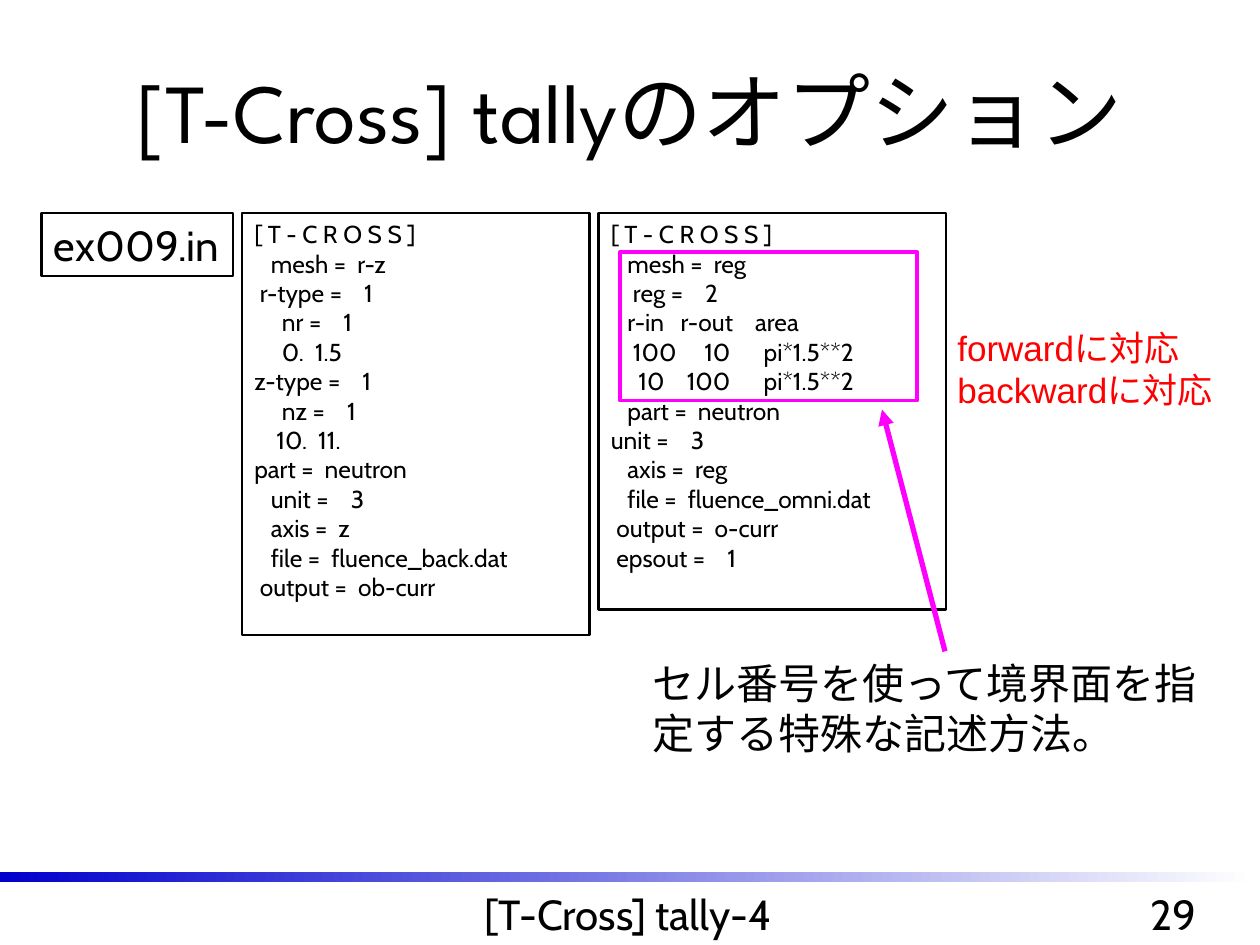
"""Build the slide on the options of the [T-Cross] tally."""
from pptx import Presentation
from pptx.dml.color import RGBColor
from pptx.enum.shapes import MSO_CONNECTOR, MSO_SHAPE
from pptx.enum.text import MSO_ANCHOR, PP_ALIGN
from pptx.oxml.ns import qn
from pptx.util import Inches, Pt
from lxml.etree import SubElement

BLACK = RGBColor(0x00, 0x00, 0x00)
WHITE = RGBColor(0xFF, 0xFF, 0xFF)
RED = RGBColor(0xFF, 0x00, 0x00)
MAGENTA = RGBColor(0xFF, 0x00, 0xFF)
BLUE = RGBColor(0x00, 0x00, 0xCC)

LISTING_TOP = 1.69
LISTING_WIDTH = 2.76

BACKWARD_LISTING = """[ T - C R O S S ]
   mesh =  r-z
 r-type =    1
     nr =    1
     0.  1.5
z-type =    1
     nz =    1
    10.  11.
part =  neutron
   unit =    3
   axis =  z
   file =  fluence_back.dat
 output =  ob-curr"""

OMNI_LISTING = """[ T - C R O S S ]
   mesh =  reg
    reg =    2
   r-in   r-out    area
    100     10      pi*1.5**2
     10    100      pi*1.5**2
   part =  neutron
unit =    3
   axis =  reg
   file =  fluence_omni.dat
 output =  o-curr
 epsout =    1"""


def write(frame, text, size, font="Cabin", color=BLACK, align=PP_ALIGN.LEFT,
          anchor=MSO_ANCHOR.TOP, wrap=True):
    """Fill a text frame with one formatted paragraph per line."""
    frame.word_wrap = wrap
    frame.vertical_anchor = anchor
    for index, line in enumerate(text.split("\n")):
        paragraph = frame.paragraphs[0] if index == 0 else frame.add_paragraph()
        paragraph.alignment = align
        run = paragraph.add_run()
        run.text = line
        run.font.size = Pt(size)
        run.font.name = font
        run.font.color.rgb = color


def add_title(slide, text):
    """Place and fill the title placeholder."""
    title = slide.shapes.title
    title.left, title.top = Inches(0.25), Inches(0.25)
    title.width, title.height = Inches(9.5), Inches(1.25)
    write(title.text_frame, text, 48, font="League Spartan",
          align=PP_ALIGN.CENTER, anchor=MSO_ANCHOR.MIDDLE)


def add_text(slide, left, top, width, height, text, size, **style):
    """Add a text box."""
    box = slide.shapes.add_textbox(Inches(left), Inches(top), Inches(width), Inches(height))
    write(box.text_frame, text, size, **style)


def add_frame(slide, left, top, width, height, color=BLACK, weight=1.5, fill=None):
    """Add an outlined rectangle, hollow unless a fill is given."""
    frame = slide.shapes.add_shape(MSO_SHAPE.RECTANGLE, Inches(left), Inches(top),
                                   Inches(width), Inches(height))
    frame.shadow.inherit = False
    if fill is None:
        frame.fill.background()
    else:
        frame.fill.solid()
        frame.fill.fore_color.rgb = fill
    frame.line.color.rgb = color
    frame.line.width = Pt(weight)
    return frame


def add_listing(slide, left, height, code):
    """Add a white framed box with an input listing."""
    listing = add_frame(slide, left, LISTING_TOP, LISTING_WIDTH, height, fill=WHITE)
    write(listing.text_frame, code, 14)


def add_footer_bar(slide):
    """Add the bar that fades from blue to white above the footer."""
    bar = slide.shapes.add_shape(MSO_SHAPE.RECTANGLE, 0, Inches(6.92),
                                 Inches(9.96), Inches(0.08))
    bar.shadow.inherit = False
    bar.line.fill.background()
    bar.fill.gradient()
    bar.fill.gradient_angle = 0
    for stop, color, position in zip(bar.fill.gradient_stops, (BLUE, WHITE), (0, 1)):
        stop.color.rgb = color
        stop.position = position


def add_arrow(slide, tip_x, tip_y, start_x, start_y):
    """Add a magenta line with an arrowhead at its tip."""
    arrow = slide.shapes.add_connector(MSO_CONNECTOR.STRAIGHT, Inches(tip_x), Inches(tip_y),
                                       Inches(start_x), Inches(start_y))
    arrow.line.color.rgb = MAGENTA
    arrow.line.width = Pt(3)
    SubElement(arrow.line._get_or_add_ln(), qn("a:headEnd"), type="triangle")
    SubElement(arrow._element.spPr, qn("a:effectLst"))


def main():
    """Build and save the slide."""
    deck = Presentation()
    deck.slide_width, deck.slide_height = Inches(10), Inches(7.5)
    slide = deck.slides.add_slide(deck.slide_layouts[5])

    add_title(slide, "[T-Cross] tallyのオプション")
    add_footer_bar(slide)
    add_text(slide, 2.4, 7, 5.17, 0.5, "[T-Cross] tally-4", 24, align=PP_ALIGN.CENTER)
    add_text(slide, 8.92, 7, 0.79, 0.5, "29", 24, align=PP_ALIGN.CENTER)

    file_label = add_frame(slide, 0.33, LISTING_TOP, 1.52, 0.5)
    write(file_label.text_frame, "ex009.in", 24, wrap=False)
    add_listing(slide, 1.92, 3.35, BACKWARD_LISTING)
    add_text(slide, 5.08, 5.17, 4.67, 0.9,
             "セル番号を使って境界面を指定する特殊な記述方法。", 24, font="Arial")
    add_listing(slide, 4.75, 3.15, OMNI_LISTING)

    add_frame(slide, 4.92, 2, 2.36, 1.18, color=MAGENTA, weight=2)
    add_arrow(slide, 7, 3.25, 7.5, 5.17)
    add_text(slide, 7.5, 2.54, 2.33, 0.77, "forwardに対応\nbackwardに対応", 20,
             font="Arial", color=RED)
    deck.save("out.pptx")


if __name__ == "__main__":
    main()
